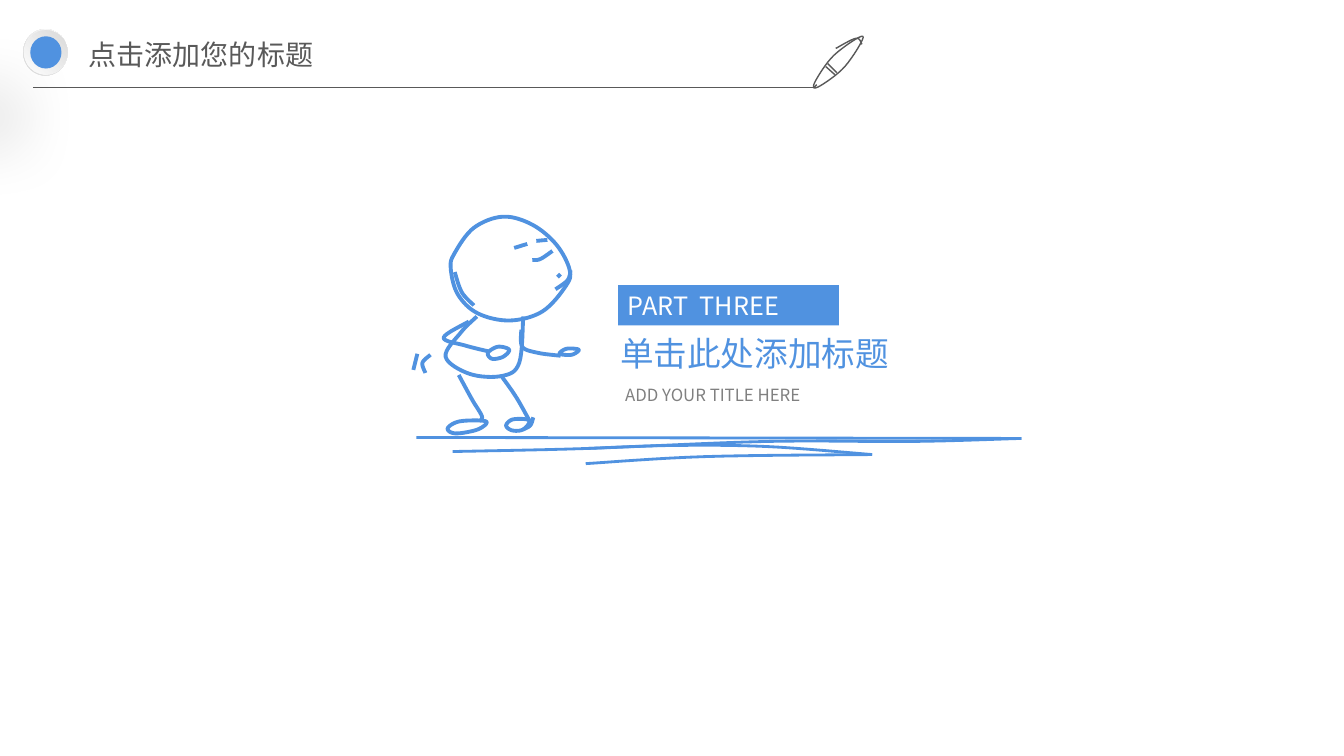
"""Build a section title slide with a hand-drawn walker and a pen-line heading."""
from lxml.etree import SubElement
from pptx import Presentation
from pptx.dml.color import RGBColor
from pptx.enum.shapes import MSO_CONNECTOR, MSO_SHAPE
from pptx.enum.text import MSO_ANCHOR, MSO_AUTO_SIZE, PP_ALIGN
from pptx.oxml.ns import qn
from pptx.util import Pt

PX = 9144
STEPS = 8
COLORS = {"blue": "5092E0", "dark": "595959", "gray": "808080", "white": "FFFFFF",
          "silver": "D9D9D9", "pearl": "FEFEFE", "black": "000000"}
LATIN, CHINESE = "Noto Sans CJK JP", "Noto Sans CJK SC"

TEXTS = [
    ("ADD YOUR TITLE HERE", (613, 378, 260, 28), (7, 4), 12, LATIN, "gray", PP_ALIGN.JUSTIFY, True),
    ("单击此处添加标题", (608, 326, 284, 48), (7, 4), 24, CHINESE, "blue", PP_ALIGN.LEFT, False),
    ("点击添加您的标题", (75, 30, 265, 47), (13, 7), 20, LATIN, "dark", PP_ALIGN.LEFT, True),
]
PART = ("PART  THREE", (613, 283, 219, 40), (10, 5), 18, LATIN, "white", PP_ALIGN.LEFT, True)
RULE = (33, 87, 807, 87)
BADGE = [((23, 29, 44, 46), ("white", "silver")),
         ((24, 30, 43, 44), ("silver", "pearl")),
         ((30, 36, 31, 32), ("blue",))]

WALKER = {
    "head": [[(447, 266), (454, 292), (474, 311), (506, 318), (538, 309), (561, 284), (565, 268),
              (552, 243), (528, 223), (499, 215), (470, 226), (451, 251), (447, 266)],
             [(451, 270), (458, 290), (470, 303)]],
    "body": [[(473, 314), (457, 330), (442, 354), (466, 371), (498, 373), (515, 360), (519, 314)]],
    "back leg": [[(455, 372), (468, 396), (478, 413), (475, 418)],
                 [(444, 425), (456, 418), (482, 418), (474, 426), (452, 430), (444, 425)]],
    "front leg": [[(498, 374), (512, 394), (525, 417)],
                  [(502, 422), (509, 416), (525, 417), (519, 426), (508, 427), (502, 422)],
                  [(519, 426), (526, 422), (529, 414)]],
    "back arm": [[(465, 319), (440, 335), (462, 343), (486, 349)],
                 [(484, 350), (494, 344), (505, 347), (499, 354), (488, 356), (484, 350)]],
    "front arm": [[(517, 327), (518, 344), (533, 350), (556, 353)],
                  [(555, 351), (562, 346), (574, 347), (567, 352), (555, 351)]],
    "face": [[(528, 258), (536, 257), (548, 249)], [(510, 246), (523, 242)], [(532, 239), (543, 238)],
             [(566, 268), (563, 278), (551, 287)], [(553, 275), (556, 272)]],
    "swing": [[(427, 352), (419, 360), (422, 370)], [(414, 351), (410, 367)]],
}
GROUND = [[(413, 434), (1013, 435)],
          [(449, 448), (581, 445), (760, 438), (905, 438), (1013, 435)],
          [(581, 445), (665, 442), (760, 443), (865, 451)],
          [(581, 460), (700, 453), (865, 451)]]
PEN = [[(828, 74), (819, 66)], [(821, 63), (830, 72)], [(810, 84), (807, 87)],
       [(808, 82), (812, 86), (838, 66), (856, 36), (827, 55), (808, 82)],
       [(855, 44), (849, 38), (829, 48)]]


def color(name):
    return RGBColor.from_string(COLORS[name])


def emu(values):
    return [value * PX for value in values]


def smooth(points):
    """Return points of a Catmull-Rom curve through the given ones."""
    closed = points[0] == points[-1]
    before, after = (points[-2], points[1]) if closed else (points[0], points[-1])
    padded = [before, *points, after]
    result = [tuple(emu(points[0]))]
    for a, b, c, d in zip(padded, padded[1:], padded[2:], padded[3:]):
        for step in range(1, STEPS + 1):
            t = step / STEPS
            result.append(tuple(emu(
                q + t * (r - p) / 2 + t * t * (2 * p - 5 * q + 4 * r - s) / 2
                + t ** 3 * (3 * q - p - 3 * r + s) / 2
                for p, q, r, s in zip(a, b, c, d))))
    return result


def add_strokes(shapes, strokes, ink, width):
    builder = shapes.build_freeform(*smooth(strokes[0])[0], scale=1.0)
    for number, stroke in enumerate(strokes):
        points = smooth(stroke)
        if number:
            builder.move_to(*points[0])
        builder.add_line_segments(points[1:], close=stroke[0] == stroke[-1])
    shape = builder.convert_to_shape()
    shape.shadow.inherit = False
    shape.fill.background()
    shape.line.color.rgb = color(ink)
    shape.line.width = Pt(width)
    return shape


def write_text(shape, text, inset, size, font, ink, alignment, wrap):
    frame = shape.text_frame
    frame.word_wrap = wrap
    frame.auto_size = MSO_AUTO_SIZE.SHAPE_TO_FIT_TEXT
    frame.margin_left = frame.margin_right = inset[0] * PX
    frame.margin_top = frame.margin_bottom = inset[1] * PX
    paragraph = frame.paragraphs[0]
    paragraph.alignment = alignment
    run = paragraph.add_run()
    run.text = text
    run.font.size = Pt(size)
    run.font.name = font
    run.font.color.rgb = color(ink)
    SubElement(run.font._element, qn("a:ea"), typeface=font)


def add_preset(shapes, kind, box, fill):
    shape = shapes.add_shape(kind, *emu(box))
    shape.shadow.inherit = False
    shape.line.fill.background()
    shape.fill.solid()
    shape.fill.fore_color.rgb = color(fill)
    return shape


def shade_radially(shape, names):
    shape.fill.gradient()
    for stop, name, position in zip(shape.fill.gradient_stops, names, (0, 1)):
        stop.color.rgb = color(name)
        stop.position = position
    gradient = shape._element.spPr.find(qn("a:gradFill"))
    gradient.remove(gradient.find(qn("a:lin")))
    circle = SubElement(gradient, qn("a:path"), path="circle")
    SubElement(circle, qn("a:fillToRect"), l="100000", b="100000")


def cast_shadow(shape):
    effects = shape._element.spPr.find(qn("a:effectLst"))
    shadow = SubElement(effects, qn("a:outerShdw"), blurRad=str(Pt(50)), dist=str(Pt(60)),
                        dir=str(130 * 60000), algn="ctr", rotWithShape="0")
    ink = SubElement(shadow, qn("a:srgbClr"), val=COLORS["black"])
    SubElement(ink, qn("a:alpha"), val="25000")


def main():
    presentation = Presentation()
    presentation.slide_width, presentation.slide_height = emu((1333, 750))
    shapes = presentation.slides.add_slide(presentation.slide_layouts[6]).shapes

    for text, box, *style in TEXTS:
        write_text(shapes.add_textbox(*emu(box)), text, *style)
    text, box, *style = PART
    banner = add_preset(shapes, MSO_SHAPE.RECTANGLE, box, "blue")
    banner.text_frame.vertical_anchor = MSO_ANCHOR.MIDDLE
    write_text(banner, text, *style)

    shapes.add_group_shape([add_strokes(shapes, strokes, "blue", 2.75) for strokes in WALKER.values()])
    add_strokes(shapes, GROUND, "blue", 2)

    rule = shapes.add_connector(MSO_CONNECTOR.STRAIGHT, *emu(RULE))
    rule.line.color.rgb = color("dark")
    rule.line.width = Pt(0.5)
    SubElement(rule._element.spPr, qn("a:effectLst"))
    add_strokes(shapes, PEN, "dark", 1)

    discs = []
    for box, names in BADGE:
        disc = add_preset(shapes, MSO_SHAPE.OVAL, box, names[0])
        if len(names) > 1:
            shade_radially(disc, names)
        discs.append(disc)
    cast_shadow(discs[0])
    shapes.add_group_shape(discs)
    presentation.save("out.pptx")


if __name__ == "__main__":
    main()
